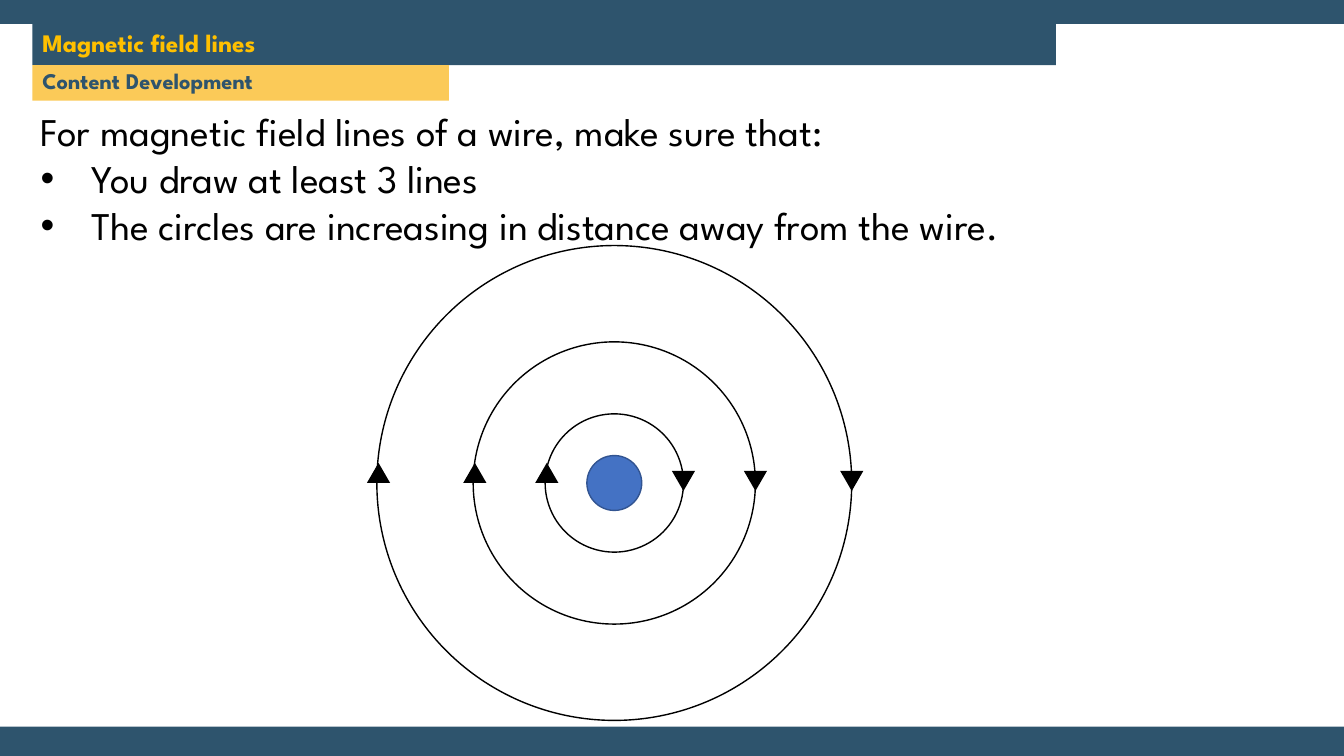
import pptx
import pptx.util
import pptx.dml.color
import pptx.enum.shapes
import pptx.enum.text
import pptx.oxml
import pptx.oxml.ns

Pt = pptx.util.Pt
SHAPE = pptx.enum.shapes.MSO_SHAPE
ANCHOR = pptx.enum.text.MSO_ANCHOR
ALIGN = pptx.enum.text.PP_ALIGN

WIDTH, HEIGHT = 960, 540
NAVY, GOLD, YELLOW = "2E546D", "FBCA58", "FFC000"
BLACK, WHITE = "000000", "FFFFFF"
WIRE_FILL, WIRE_LINE = "4472C4", "325491"
FONT = "League Spartan"


def color(value):
    return pptx.dml.color.RGBColor.from_string(value)


def add_shape(s, kind, x, y, w, h, fill=None, line=None):
    sp = s.shapes.add_shape(kind, Pt(x), Pt(y), Pt(w), Pt(h))
    sp.shadow.inherit = False
    if fill:
        sp.fill.solid()
        sp.fill.fore_color.rgb = color(fill)
    else:
        sp.fill.background()
    if line:
        sp.line.color.rgb = color(line)
        sp.line.width = Pt(1)
    else:
        sp.line.fill.background()
    return sp


def add_bullet(p, indent):
    pPr = p._p.get_or_add_pPr()
    pPr.set("marL", str(Pt(indent)))
    pPr.set("indent", str(-Pt(indent)))
    ns = pptx.oxml.ns.nsdecls("a")
    for xml in (f'<a:buFont {ns} typeface="Arial"/>', f'<a:buChar {ns} char="•"/>'):
        pPr.append(pptx.oxml.parse_xml(xml))


def write(p, text, size=28, ink=BLACK, bold=False, spacing=1.0, bullet=False):
    p.alignment = ALIGN.LEFT
    p.line_spacing = spacing
    if bullet:
        add_bullet(p, 36)
    r = p.add_run()
    r.text = text
    r.font.name = FONT
    r.font.size = Pt(size)
    r.font.bold = bold
    r.font.color.rgb = color(ink)


def add_frame(s, x, y, w, h):
    add_shape(s, SHAPE.RECTANGLE, x, y, w, h, NAVY)
    add_shape(s, SHAPE.RECTANGLE, x, y + 17.3, w, h - 38.2, WHITE)


def add_heading(s, x, y, w, h, text, fill, anchor, **text_format):
    tf = add_shape(s, SHAPE.RECTANGLE, x, y, w, h, fill).text_frame
    tf.word_wrap = True
    tf.vertical_anchor = anchor
    write(tf.paragraphs[0], text, bold=True, spacing=0.9, **text_format)


def add_body(s, x, y, w, h, lead, points):
    tf = s.shapes.add_textbox(Pt(x), Pt(y), Pt(w), Pt(h)).text_frame
    tf.word_wrap = True
    write(tf.paragraphs[0], lead)
    for point in points:
        write(tf.add_paragraph(), point, bullet=True)


def add_field(s, x, y, size):
    """Wire with its circular field lines, in a square box."""
    cx, cy = x + size / 2, y + size / 2

    def circle(d, **style):
        add_shape(s, SHAPE.OVAL, cx - d / 2, cy - d / 2, d, d, **style)

    def arrow(mid_x, mid_y, rotation):
        w, h = 16.6, 14.4
        sp = add_shape(s, SHAPE.ISOSCELES_TRIANGLE,
                       mid_x - w / 2, mid_y - h / 2, w, h, BLACK)
        sp.rotation = rotation

    circle(39.2, fill=WIRE_FILL, line=WIRE_LINE)
    diameters = (98.8, 201.6, size)
    for d in diameters:
        circle(d, line=BLACK)

    # Up on the left, down on the right
    for d in diameters:
        arrow(cx - d / 2 + 1.2, cy - 7.2, 0)
        arrow(cx + d / 2, cy - 1.5, 180)


def main():
    prs = pptx.Presentation()
    prs.slide_width, prs.slide_height = Pt(WIDTH), Pt(HEIGHT)
    s = prs.slides.add_slide(prs.slide_layouts[6])

    # Frame and headings
    add_frame(s, 0, 0, WIDTH, HEIGHT)
    add_heading(s, 23.2, 17.3, 731, 29.2, "Magnetic field lines",
                NAVY, ANCHOR.MIDDLE, size=18, ink=YELLOW)
    add_heading(s, 23.2, 46.5, 297.4, 25.4, "Content Development",
                GOLD, ANCHOR.TOP, size=16, ink=NAVY)

    # Instructions
    add_body(s, 22, 73, 914, 422,
             "For magnetic field lines of a wire, make sure that:",
             ("You draw at least 3 lines",
              "The circles are increasing in distance away from the wire."))

    # Diagram
    add_field(s, 269.2, 175.4, 339.2)
    prs.save("out.pptx")


if __name__ == "__main__":
    main()
